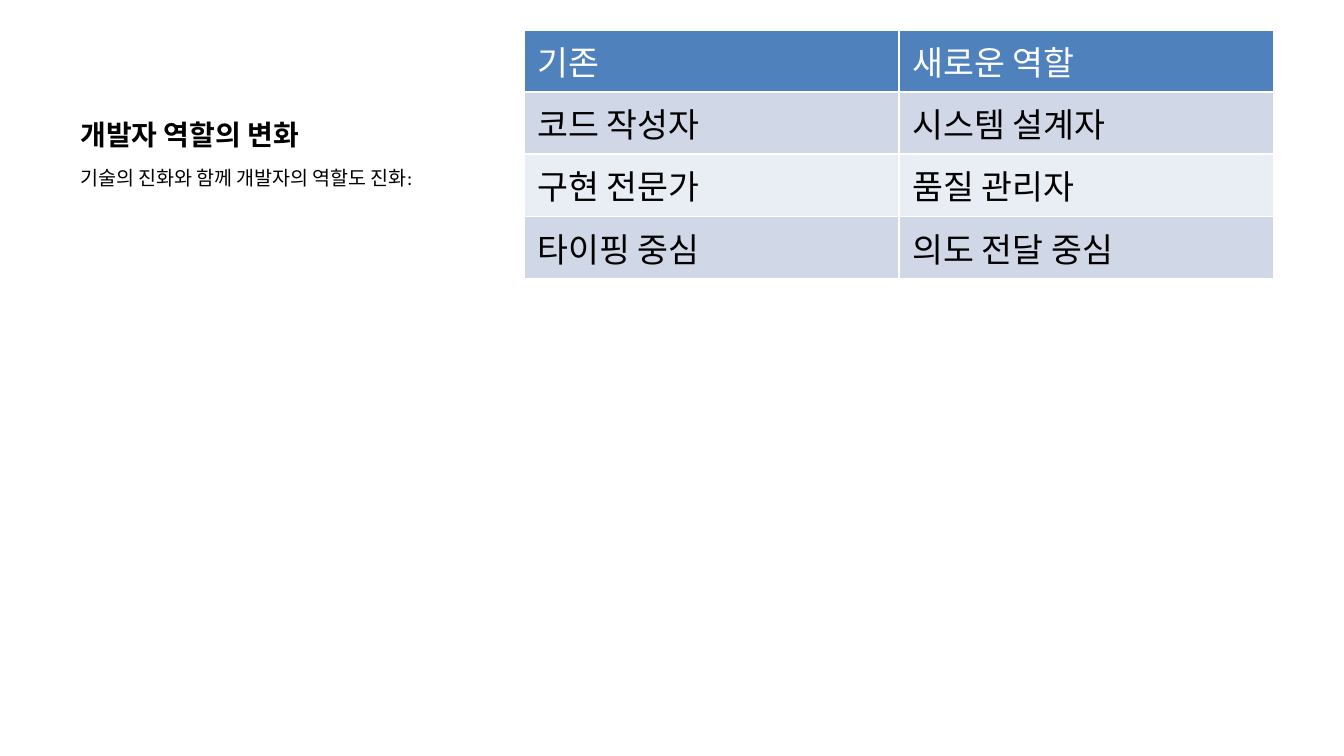
from pptx import Presentation
from pptx.dml.color import RGBColor
from pptx.enum.text import MSO_ANCHOR, PP_ALIGN

TITLE = "개발자 역할의 변화"
INTRO = "기술의 진화와 함께 개발자의 역할도 진화:"
ROLES = [
    ("기존", "새로운 역할"),
    ("코드 작성자", "시스템 설계자"),
    ("구현 전문가", "품질 관리자"),
    ("타이핑 중심", "의도 전달 중심"),
]

BLACK = RGBColor(0x00, 0x00, 0x00)
WHITE = RGBColor(0xFF, 0xFF, 0xFF)
HEADER_BLUE = RGBColor(0x4F, 0x81, 0xBD)
BANDS = [RGBColor(0xE9, 0xED, 0xF4), RGBColor(0xD0, 0xD8, 0xE8)]

FONT = "Calibri"
EMU_PER_PX = 914400 / 134.4
PAGE_SIZE = (1344, 756)
TITLE_BOX = (67, 30, 442, 128)
INTRO_BOX = (67, 159, 442, 517)
TABLE_LEFT, TABLE_TOP, TABLE_WIDTH, ROW_HEIGHT = 524, 30, 750, 62
CAPTION_LAYOUT = 7
CONTENT_INDEX, INTRO_INDEX = 1, 2


def px(length):
    return round(length * EMU_PER_PX)


def write(frame, text, points, color, bold=False):
    """Put one left-aligned, formatted paragraph into a text frame."""
    para = frame.paragraphs[0]
    para.alignment = PP_ALIGN.LEFT
    span = para.add_run()
    span.text = text
    span.font.color.rgb = color
    look = {"name": FONT, "size": round(points * 12700), "bold": bold}
    for name, value in look.items():
        setattr(span.font, name, value)


def place(shape, box):
    for name, length in zip(("left", "top", "width", "height"), box):
        setattr(shape, name, px(length))


def add_role_table(page):
    rows, columns = len(ROLES), len(ROLES[0])
    box = (TABLE_LEFT, TABLE_TOP, TABLE_WIDTH, ROW_HEIGHT * rows)
    table = page.shapes.add_table(rows, columns, *map(px, box)).table
    for row, texts in enumerate(ROLES):
        fill = BANDS[row % 2] if row else HEADER_BLUE
        color = BLACK if row else WHITE
        for column, text in enumerate(texts):
            cell = table.cell(row, column)
            cell.fill.solid()
            cell.fill.fore_color.rgb = fill
            write(cell.text_frame, text, 18, color)


def main():
    deck = Presentation()
    deck.slide_width, deck.slide_height = map(px, PAGE_SIZE)
    page = deck.slides.add_slide(deck.slide_layouts[CAPTION_LAYOUT])

    title = page.shapes.title
    place(title, TITLE_BOX)
    title.text_frame.vertical_anchor = MSO_ANCHOR.BOTTOM
    write(title.text_frame, TITLE, 15, BLACK, bold=True)

    intro = page.placeholders[INTRO_INDEX]
    place(intro, INTRO_BOX)
    write(intro.text_frame, INTRO, 10.5, BLACK)

    unused = page.placeholders[CONTENT_INDEX].element
    unused.getparent().remove(unused)
    add_role_table(page)
    deck.save("out.pptx")


if __name__ == "__main__":
    main()
